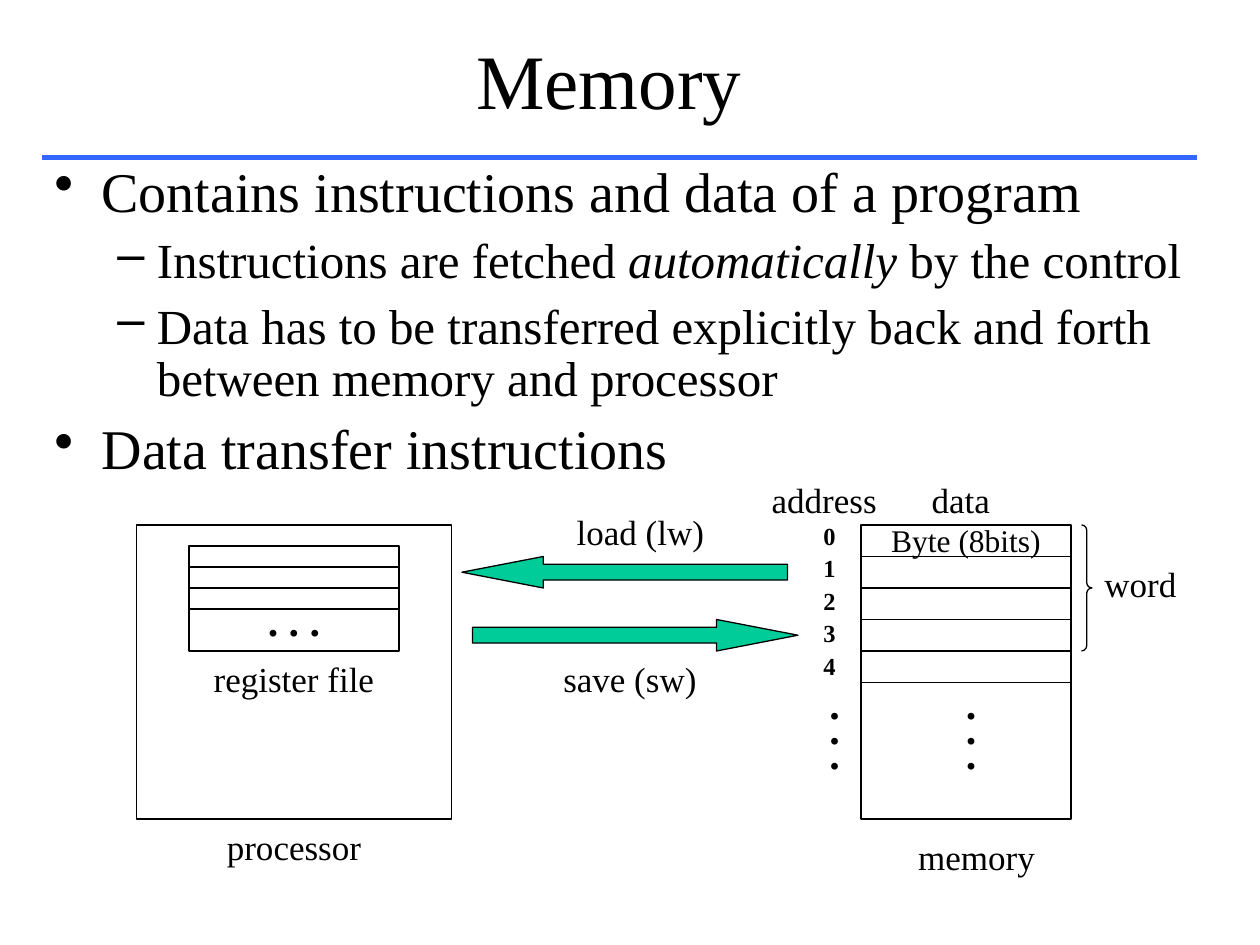
import pptx
import pptx.util
import pptx.dml.color
import pptx.enum.shapes
import pptx.enum.text
import pptx.oxml
from lxml import etree

Pt = pptx.util.Pt
RGB = pptx.dml.color.RGBColor
SHAPE = pptx.enum.shapes.MSO_SHAPE
ALIGN = pptx.enum.text.PP_ALIGN
ANCHOR = pptx.enum.text.MSO_ANCHOR

THEME = {
    "font": "Times New Roman",
    "ink": RGB(0x00, 0x00, 0x00),
    "rule": RGB(0x33, 0x66, 0xFF),
    "arrow": RGB(0x00, 0xCC, 0x99),
    "title": 44, "point": 32, "subpoint": 28,
    "dots": 24, "label": 20, "byte": 18, "address": 14,
    "outline": 0.75, "rule_width": 3,
}

deck = pptx.Presentation()
deck.slide_width, deck.slide_height = Pt(720), Pt(540)
slide = deck.slides.add_slide(deck.slide_layouts[6])


def add_text(box, lines, size, bold=False, align=ALIGN.CENTER, anchor=ANCHOR.TOP,
             spacing=1.0, gap=0):
    frame = slide.shapes.add_textbox(*map(Pt, box)).text_frame
    frame.word_wrap = True
    frame.vertical_anchor = anchor
    for number, line in enumerate(lines):
        paragraph = frame.paragraphs[0] if number == 0 else frame.add_paragraph()
        layout = {"alignment": align, "line_spacing": spacing,
                  "space_before": Pt(gap if number else 0)}
        for key, value in layout.items():
            setattr(paragraph, key, value)
        run = paragraph.add_run()
        run.text = line
        for key, value in {"name": THEME["font"], "size": Pt(THEME[size]), "bold": bold}.items():
            setattr(run.font, key, value)
        run.font.color.rgb = THEME["ink"]


def add_line(left, right, y, color="ink", width="outline"):
    line = slide.shapes.add_connector(
        pptx.enum.shapes.MSO_CONNECTOR.STRAIGHT, Pt(left), Pt(y), Pt(right), Pt(y))
    line.line.color.rgb = THEME[color]
    line.line.width = Pt(THEME[width])
    etree.SubElement(line._element.spPr, pptx.oxml.ns.qn("a:effectLst"))


# Title and rule
add_text((42, 0, 612, 90), ["Memory"], "title", anchor=ANCHOR.MIDDLE)
add_line(24, 684, 90, "rule", "rule_width")

# Bulleted points: level, runs of (text, italic)
points = [
    (0, [("Contains instructions and data of a program", False)]),
    (1, [("Instructions are fetched ", False), ("automatically", True),
         (" by the control", False)]),
    (1, [("Data has to be transferred explicitly back and forth "
          "between memory and processor", False)]),
    (0, [("Data transfer instructions", False)]),
]
levels = [
    {"size": "point", "bullet": "•", "margin": 27, "hang": 27, "gap": 8},
    {"size": "subpoint", "bullet": "–", "margin": 58.5, "hang": 22.5, "gap": 7},
]
body = slide.shapes.add_textbox(Pt(24), Pt(90), Pt(660), Pt(192)).text_frame
body.word_wrap = True
for number, (level, runs) in enumerate(points):
    style = levels[level]
    point = body.add_paragraph() if number else body.paragraphs[0]
    point.level = level
    point.line_spacing = 0.9
    point.space_before = Pt(style["gap"] if number else 0)
    properties = point._p.get_or_add_pPr()
    properties.set("marL", str(Pt(style["margin"])))
    properties.set("indent", str(-Pt(style["hang"])))
    bullet = etree.SubElement(properties, pptx.oxml.ns.qn("a:buChar"))
    bullet.set("char", style["bullet"])
    for words, italic in runs:
        run = point.add_run()
        run.text = words
        for key, value in {"name": THEME["font"], "size": Pt(THEME[style["size"]]),
                           "italic": italic}.items():
            setattr(run.font, key, value)
        run.font.color.rgb = THEME["ink"]

# Processor, memory, register file, word brace and transfer arrows
arrow_shape = [0.5, 2.583]
outlines = [
    (SHAPE.RECTANGLE, (78, 300, 180, 168), None, []),
    (SHAPE.RECTANGLE, (492, 300, 120, 168), None, []),
    (SHAPE.RECTANGLE, (108, 312, 120, 60), None, []),
    (SHAPE.RIGHT_BRACE, (618, 300, 6, 72), None, [0.5, 0.5]),
    (SHAPE.LEFT_ARROW, (264, 318, 186, 18), "arrow", arrow_shape),
    (SHAPE.RIGHT_ARROW, (270, 354, 186, 18), "arrow", arrow_shape),
]
for kind, box, fill, adjustments in outlines:
    part = slide.shapes.add_shape(kind, *map(Pt, box))
    part.shadow.inherit = False
    part.line.color.rgb = THEME["ink"]
    part.line.width = Pt(THEME["outline"])
    if fill:
        part.fill.solid()
        part.fill.fore_color.rgb = THEME[fill]
    else:
        part.fill.background()
    for index, value in enumerate(adjustments):
        part.adjustments[index] = value

# Register rows and memory bytes
for row in range(1, 4):
    add_line(108, 228, 312 + 12 * row)
for row in range(1, 6):
    add_line(492, 612, 300 + 18 * row)

# Labels
labels = [
    ("processor", (120, 468, 96, 32)),
    ("memory", (510, 474, 96, 32)),
    ("address", (432, 270, 78, 32)),
    ("data", (510, 270, 78, 32)),
    ("register file", (78, 372, 180, 32)),
    ("load (lw)", (312, 288, 108, 32)),
    ("save (sw)", (306, 372, 108, 32)),
]
for label, box in labels:
    add_text(box, [label], "label")
add_text((624, 318, 66, 32), ["word"], "label", align=ALIGN.LEFT)
add_text((492, 294, 120, 29), ["Byte (8bits)"], "byte")

# Addresses and continuation dots
add_text((456, 294, 36, 99), list("01234"), "address", bold=True, gap=1.8)
add_text((138, 336, 60, 36), [". . ."], "dots", bold=True)
for left in (456, 534):
    add_text((left, 396, 42, 50), ["."] * 3, "dots", bold=True, spacing=0.5)

deck.save("out.pptx")
